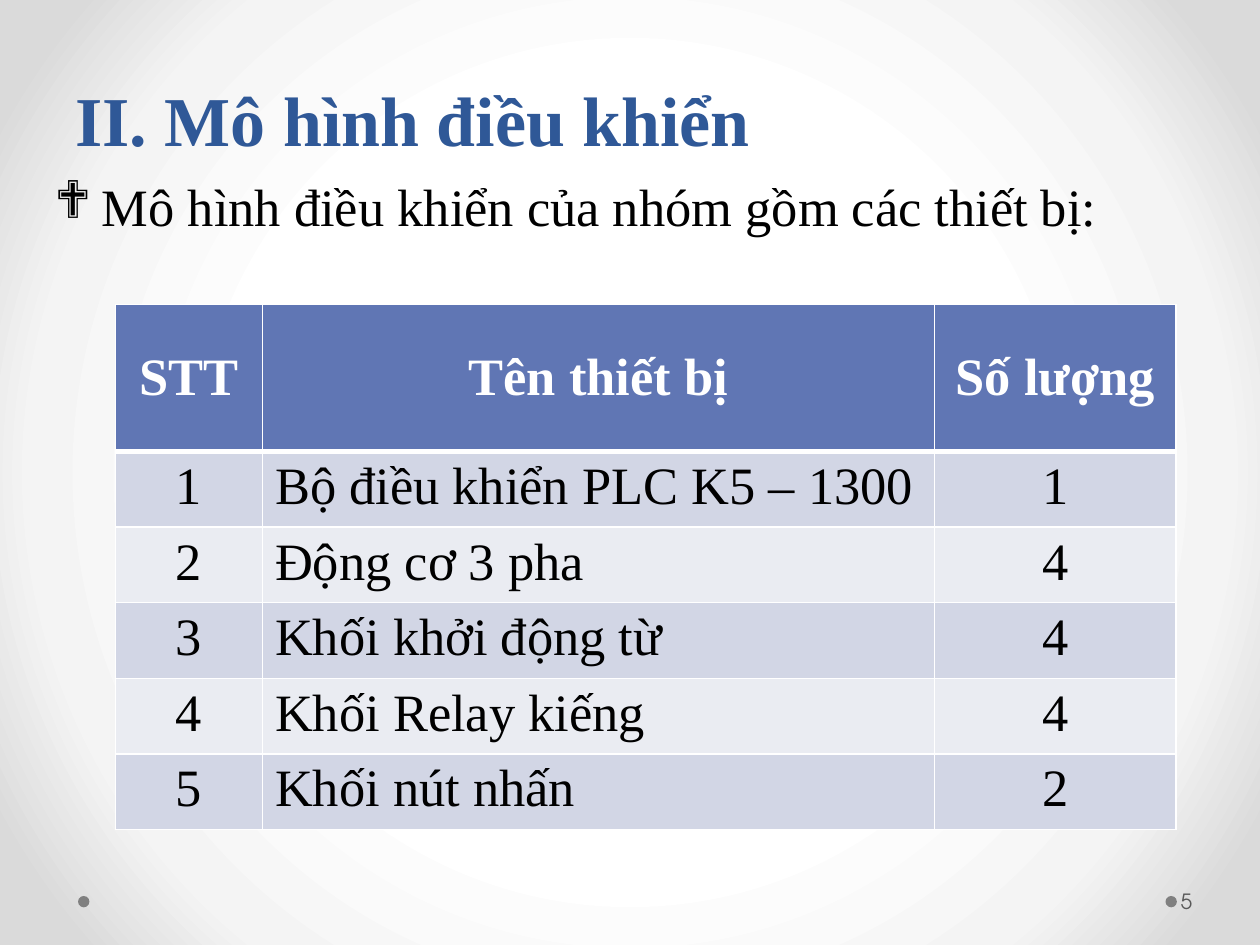
from lxml.etree import SubElement
from pptx import Presentation
from pptx.dml.color import RGBColor
from pptx.enum.shapes import MSO_SHAPE
from pptx.enum.text import MSO_ANCHOR, MSO_AUTO_SIZE, PP_ALIGN
from pptx.oxml import parse_xml
from pptx.oxml.ns import nsdecls, qn
from pptx.util import Pt

COLORS = {
    "title": "2F5897", "text": "000000", "white": "FFFFFF", "header": "6076B4",
    "odd": "D2D6E5", "even": "EAECF2", "dot": "808080", "number": "595959",
}
SERIF = "Times New Roman"
GRADIENT_STOPS = [(50, "FFFFFF"), (76, "F4F4F4"), (92, "DADADA")]
COLUMN_WIDTHS = [84, 384, 138]
HEADER_HEIGHT, ROW_HEIGHT = 84, 43.2
ROWS = [
    ("STT", "Tên thiết bị", "Số lượng"),
    ("1", "Bộ điều khiển PLC K5 – 1300", "1"),
    ("2", "Động cơ 3 pha", "4"),
    ("3", "Khối khởi động từ", "4"),
    ("4", "Khối Relay kiếng", "4"),
    ("5", "Khối nút nhấn", "2"),
]


def format_text(paragraph, size, color, bold=False, font=SERIF):
    for run in paragraph.runs:
        run.font.name = font
        run.font.size = Pt(size)
        run.font.bold = bold
        run.font.color.rgb = RGBColor.from_string(COLORS[color])


def add_border(cell, side, width):
    line = SubElement(cell._tc.get_or_add_tcPr(), qn(f"a:ln{side}"), w=str(Pt(width)))
    fill = SubElement(line, qn("a:solidFill"))
    SubElement(fill, qn("a:srgbClr"), val=COLORS["white"])


presentation = Presentation()
presentation.slide_width, presentation.slide_height = Pt(720), Pt(540)
slide = presentation.slides.add_slide(presentation.slide_layouts[1])

# Background: radial gradient from the centre
stops = "".join(
    f'<a:gs pos="{position * 1000}"><a:srgbClr val="{color}"/></a:gs>'
    for position, color in GRADIENT_STOPS
)
slide._element.cSld.insert(0, parse_xml(
    f'<p:bg {nsdecls("p", "a")}><p:bgPr><a:gradFill rotWithShape="1">'
    f'<a:gsLst>{stops}</a:gsLst><a:path path="circle">'
    '<a:fillToRect l="50000" t="50000" r="50000" b="50000"/></a:path>'
    '</a:gradFill><a:effectLst/></p:bgPr></p:bg>'
))

# Footer dots
for left in (44.6, 666):
    dot = slide.shapes.add_shape(MSO_SHAPE.OVAL, Pt(left), Pt(512), Pt(6.5), Pt(6.5))
    dot.shadow.inherit = False
    dot.fill.solid()
    dot.fill.fore_color.rgb = RGBColor.from_string(COLORS["dot"])
    dot.line.fill.background()

# Title
title = slide.shapes.title
title.left, title.top, title.width, title.height = Pt(36), Pt(0), Pt(648), Pt(126)
title.text_frame.text = "II. Mô hình điều khiển"
title.text_frame.auto_size = MSO_AUTO_SIZE.NONE
title.text_frame.vertical_anchor = MSO_ANCHOR.MIDDLE
paragraph = title.text_frame.paragraphs[0]
paragraph.alignment = PP_ALIGN.JUSTIFY
paragraph.line_spacing = Pt(58)
format_text(paragraph, 40, "title", bold=True)

# Body
body = slide.placeholders[1]
body.left, body.top, body.width, body.height = Pt(24), Pt(96), Pt(678), Pt(396)
body.text_frame.text = "Mô hình điều khiển của nhóm gồm các thiết bị:"
body.text_frame.auto_size = MSO_AUTO_SIZE.NONE
paragraph = body.text_frame.paragraphs[0]
paragraph.space_before = Pt(6)
format_text(paragraph, 30, "text")
properties = paragraph._p.get_or_add_pPr()
properties.set("marL", str(Pt(27)))
properties.set("indent", str(Pt(-27)))
SubElement(properties, qn("a:buFont"), typeface="Wingdings")
SubElement(properties, qn("a:buChar"), char="❖")

# Device table
table_height = HEADER_HEIGHT + ROW_HEIGHT * (len(ROWS) - 1)
table = slide.shapes.add_table(
    len(ROWS), len(COLUMN_WIDTHS),
    Pt(66), Pt(174), Pt(sum(COLUMN_WIDTHS)), Pt(table_height),
).table
for column, width in zip(table.columns, COLUMN_WIDTHS):
    column.width = Pt(width)
for row_index, texts in enumerate(ROWS):
    is_header = row_index == 0
    table.rows[row_index].height = Pt(HEADER_HEIGHT if is_header else ROW_HEIGHT)
    fill_name = "header" if is_header else "odd" if row_index % 2 else "even"
    for column_index, text in enumerate(texts):
        cell = table.cell(row_index, column_index)
        cell.text_frame.text = text
        cell.vertical_anchor = MSO_ANCHOR.MIDDLE if is_header else MSO_ANCHOR.TOP
        paragraph = cell.text_frame.paragraphs[0]
        centred = is_header or column_index != 1
        paragraph.alignment = PP_ALIGN.CENTER if centred else PP_ALIGN.LEFT
        format_text(paragraph, 30, "white" if is_header else "text", bold=is_header)
        add_border(cell, "L", 1)
        add_border(cell, "R", 1)
        add_border(cell, "T", 3 if row_index == 1 else 1)
        add_border(cell, "B", 3 if is_header else 1)
        cell.fill.solid()
        cell.fill.fore_color.rgb = RGBColor.from_string(COLORS[fill_name])

# Slide number
number = slide.shapes.add_textbox(Pt(672.5), Pt(500.5), Pt(44), Pt(29)).text_frame
number.text = "5"
number.word_wrap = True
number.vertical_anchor = MSO_ANCHOR.MIDDLE
number.margin_left = Pt(2.2)
number.margin_right = Pt(3.6)
format_text(number.paragraphs[0], 12, "number", font="TeX Gyre Adventor")

presentation.save("out.pptx")
